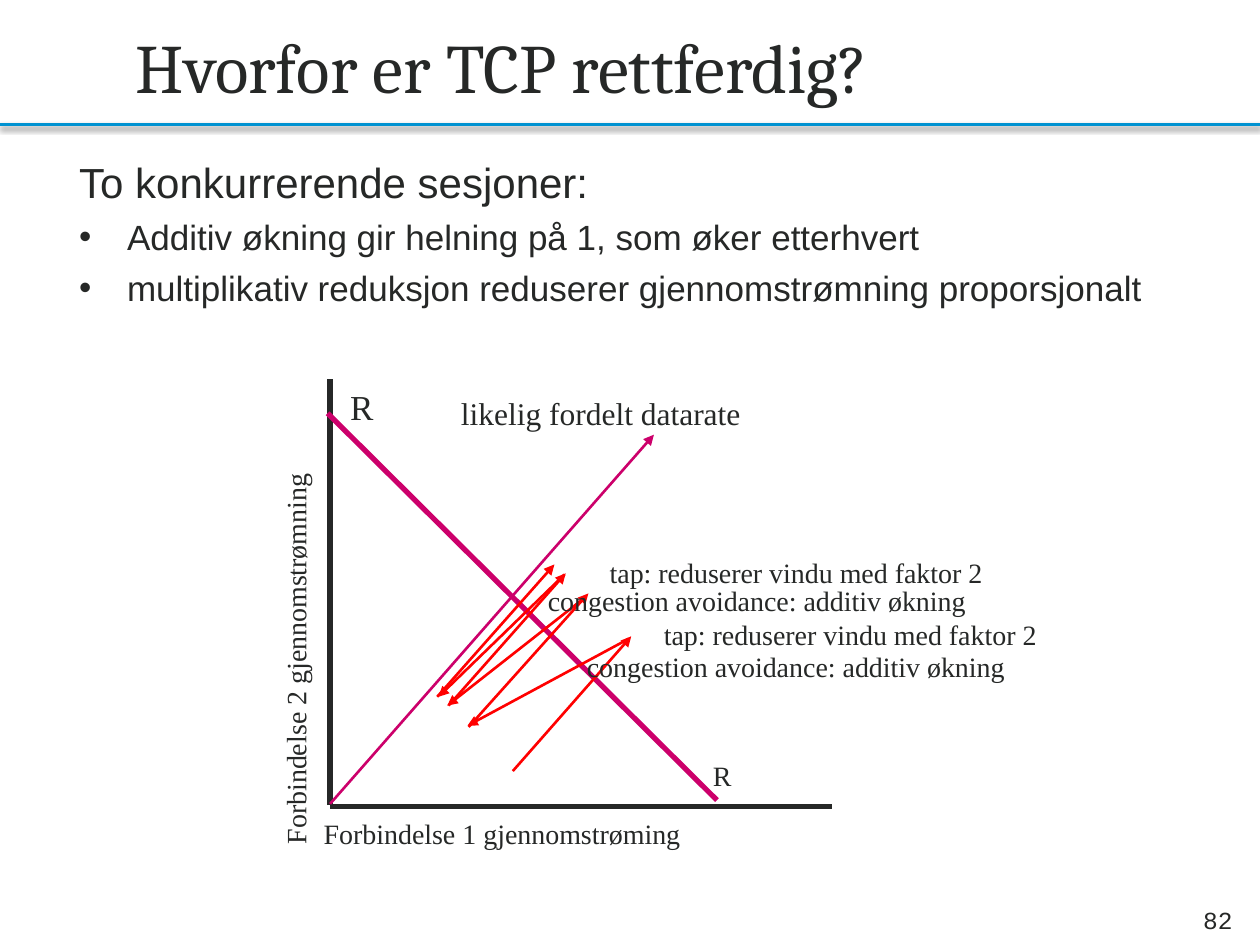
from dataclasses import dataclass

from lxml.etree import SubElement
from pptx import Presentation
from pptx.dml.color import RGBColor
from pptx.enum.shapes import MSO_CONNECTOR as Connector
from pptx.enum.text import MSO_ANCHOR as Anchor, PP_ALIGN as Align
from pptx.oxml.ns import qn
from pptx.util import Inches, Pt


@dataclass(frozen=True)
class Theme:
    ink: str = "262827"
    header: str = "0092D1"
    capacity: str = "CC006B"
    session: str = "FF0000"
    title_font: str = "Cambria"
    body_font: str = "Arial"
    label_font: str = "Times New Roman"
    number_font: str = "Courier New"
    title_size: float = 39.6
    lead_size: float = 24
    bullet_size: float = 20
    number_size: float = 14
    thick: float = 3
    thin: float = 1.5
    rule: float = 2


THEME = Theme()

TITLE = "Hvorfor er TCP rettferdig?"
LEAD = "To konkurrerende sesjoner:"
BULLETS = [
    "Additiv økning gir helning på 1, som øker etterhvert",
    "multiplikativ reduksjon reduserer gjennomstrømning proporsjonalt",
]
PAGE_NUMBER = "82"
INCREASE = "congestion avoidance: additiv økning"
LOSS = "tap: reduserer vindu med faktor 2"

LABELS = [
    ("R", (2.68, 3.01, 0.44, 0.43), 20, 0),
    ("R", (5.56, 5.97, 0.44, 0.37), 16, 0),
    ("likelig fordelt datarate", (3.56, 3.08, 3.88, 0.4), 18, 0),
    ("Forbindelse 1 gjennomstrøming", (2.47, 6.43, 3.88, 0.37), 16, 0),
    ("Forbindelse 2 gjennomstrømning", (0.3, 4.57, 4.09, 0.37), 16, 270),
    (INCREASE, (4.56, 5.11, 4.96, 0.37), 16, 0),
    (LOSS, (5.17, 4.85, 3.21, 0.37), 16, 0),
    (INCREASE, (4.25, 4.58, 4.96, 0.37), 16, 0),
    (LOSS, (4.74, 4.36, 3.21, 0.37), 16, 0),
]

AXES = [((2.62, 6.4), (6.6, 6.4)), ((2.62, 6.39), (2.62, 3.01))]
FAIR_SHARE = ((2.62, 6.38), (5.19, 3.45))
FULL_CAPACITY = ((2.6, 3.28), (5.69, 6.35))
SESSION_STEPS = [
    ((4.07, 6.12), (5.01, 5.05)),
    ((4.99, 5.07), (3.71, 5.76)),
    ((3.72, 5.77), (4.67, 4.71)),
    ((4.62, 4.76), (3.55, 5.6)),
    ((3.56, 5.6), (4.49, 4.55)),
    ((4.48, 4.56), (3.48, 5.53)),
    ((3.47, 5.53), (4.4, 4.48)),
]


def add_line(slide, ends, color, width, arrow=False):
    start, end = ends
    line = slide.shapes.add_connector(
        Connector.STRAIGHT, *(Inches(value) for value in (*start, *end))
    )
    line.line.color.rgb = RGBColor.from_string(color)
    line.line.width = Pt(width)
    if arrow:
        SubElement(line.line._get_or_add_ln(), qn("a:tailEnd"), type="triangle")
    effects = SubElement(line._element.spPr, qn("a:effectLst"))
    return effects


def add_shadow(effects):
    shadow = SubElement(
        effects, qn("a:outerShdw"), blurRad=str(Pt(3.1)), dist=str(Pt(1.6)),
        dir="5400000", rotWithShape="0",
    )
    color = SubElement(shadow, qn("a:srgbClr"), val="000000")
    SubElement(color, qn("a:alpha"), val="38000")


def add_box(slide, place, anchor=Anchor.TOP, wrap=True):
    box = slide.shapes.add_textbox(*(Inches(value) for value in place))
    box.text_frame.word_wrap = wrap
    box.text_frame.vertical_anchor = anchor
    return box


def write(paragraph, text, font, size):
    paragraph.text = text
    paragraph.font.name = font
    paragraph.font.size = Pt(size)
    paragraph.font.color.rgb = RGBColor.from_string(THEME.ink)


def add_body(slide):
    frame = add_box(slide, (0.53, 1.19, 9.22, 1.7)).text_frame
    write(frame.paragraphs[0], LEAD, THEME.body_font, THEME.lead_size)
    for text in BULLETS:
        paragraph = frame.add_paragraph()
        paragraph.space_before = Pt(5)
        properties = paragraph._p.get_or_add_pPr()
        properties.set("marL", str(Inches(0.38)))
        properties.set("indent", str(Inches(-0.38)))
        SubElement(properties, qn("a:buFont"), typeface=THEME.body_font)
        SubElement(properties, qn("a:buChar"), char="•")
        write(paragraph, text, THEME.body_font, THEME.bullet_size)


def add_diagram(slide):
    for axis in AXES:
        add_line(slide, axis, THEME.ink, THEME.thick)
    add_line(slide, FAIR_SHARE, THEME.capacity, THEME.thin, arrow=True)
    add_line(slide, FULL_CAPACITY, THEME.capacity, THEME.thick)
    for step in SESSION_STEPS:
        add_line(slide, step, THEME.session, THEME.thin, arrow=True)
    for text, place, size, rotation in LABELS:
        box = add_box(slide, place, wrap=text != LOSS)
        box.rotation = rotation
        write(box.text_frame.paragraphs[0], text, THEME.label_font, size)


def main():
    presentation = Presentation()
    presentation.slide_width = Inches(10)
    presentation.slide_height = Inches(7.5)
    slide = presentation.slides.add_slide(presentation.slide_layouts[6])

    add_shadow(add_line(slide, ((0, 0.99), (10, 0.99)), THEME.header, THEME.rule))
    title = add_box(slide, (0.98, 0.13, 8.82, 0.79), Anchor.MIDDLE)
    write(title.text_frame.paragraphs[0], TITLE, THEME.title_font, THEME.title_size)
    add_body(slide)
    add_diagram(slide)

    number = add_box(slide, (8.94, 7.1, 0.94, 0.4), Anchor.MIDDLE)
    paragraph = number.text_frame.paragraphs[0]
    paragraph.alignment = Align.RIGHT
    write(paragraph, PAGE_NUMBER, THEME.number_font, THEME.number_size)

    presentation.save("out.pptx")


if __name__ == "__main__":
    main()
